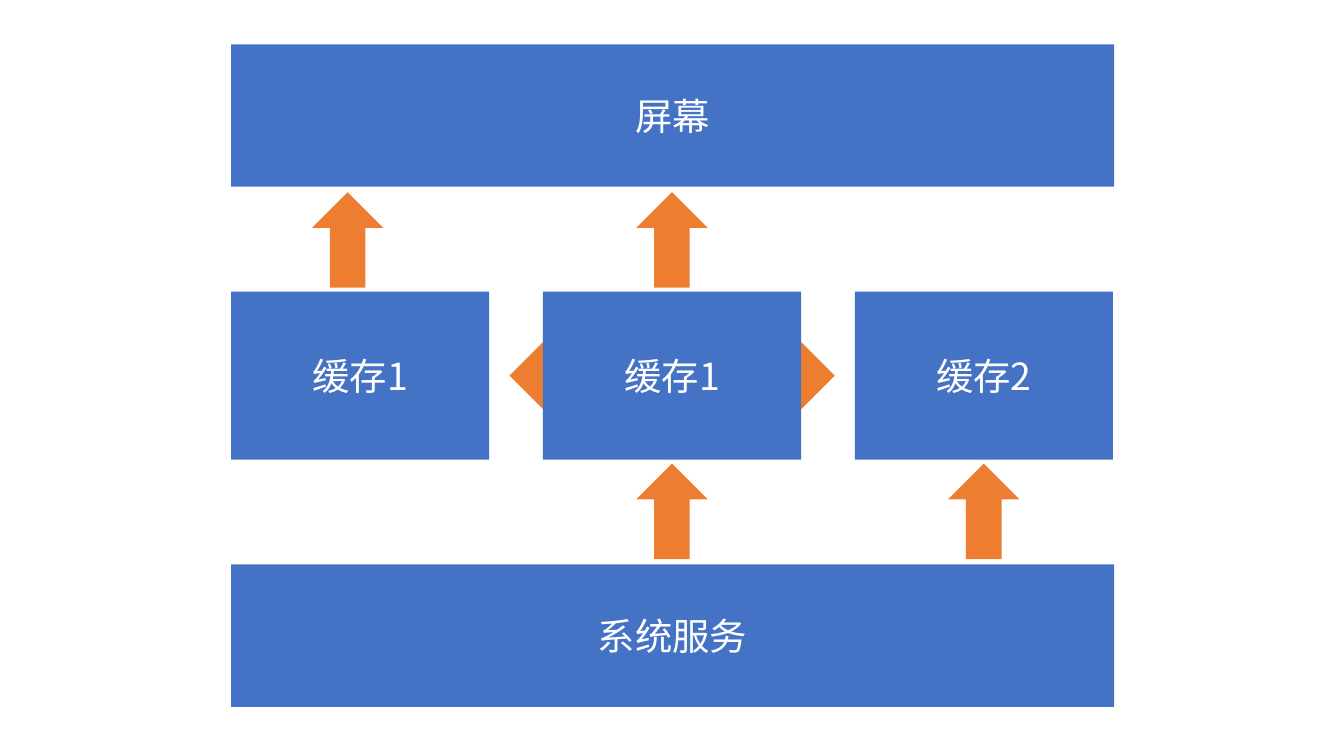
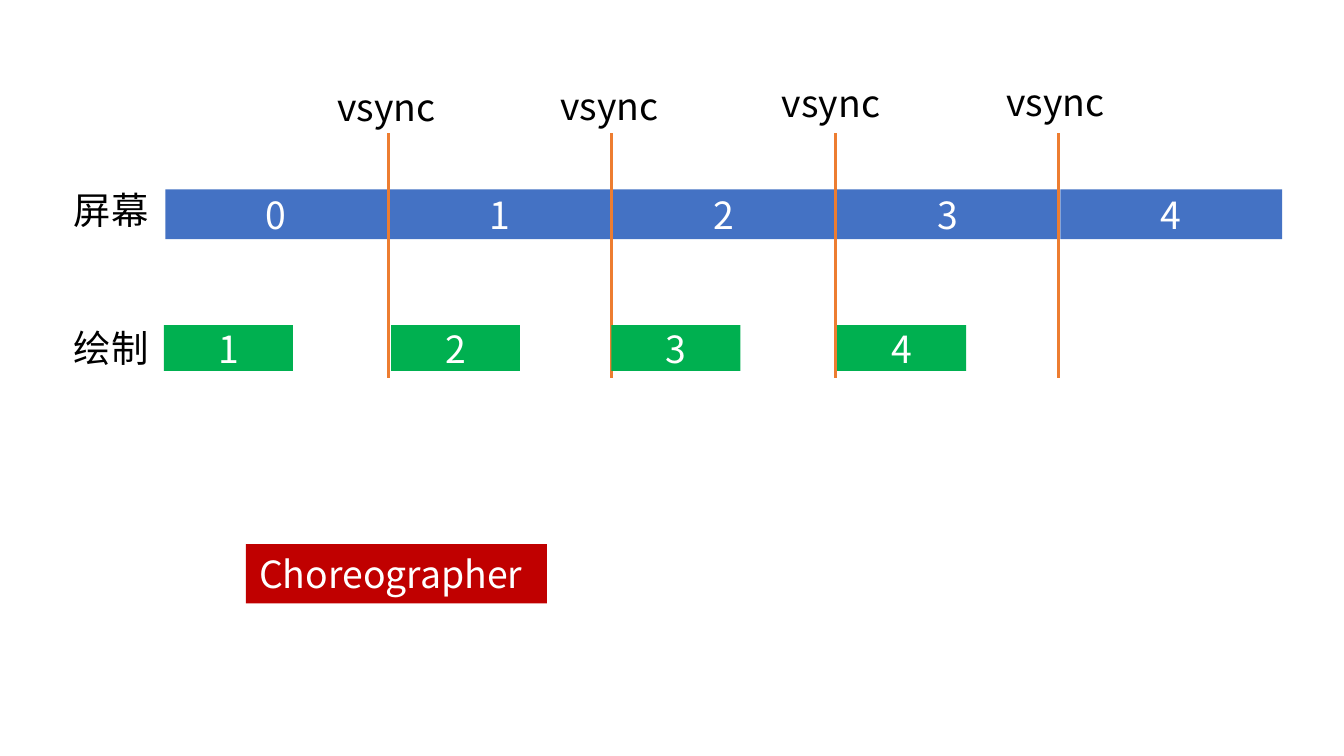
from lxml.etree import SubElement
from pptx import Presentation
from pptx.dml.color import RGBColor
from pptx.enum.shapes import MSO_CONNECTOR, MSO_SHAPE
from pptx.enum.text import MSO_ANCHOR, MSO_AUTO_SIZE, PP_ALIGN
from pptx.oxml.ns import qn
from pptx.util import Inches, Pt

BLUE = RGBColor(0x44, 0x72, 0xC4)
ORANGE = RGBColor(0xED, 0x7D, 0x31)
GREEN = RGBColor(0x00, 0xB0, 0x50)
RED = RGBColor(0xC0, 0x00, 0x00)
WHITE = RGBColor(0xFF, 0xFF, 0xFF)
BLACK = RGBColor(0x00, 0x00, 0x00)
FONT = "Noto Sans CJK SC"


def write(frame, text, color, align):
    """Fill a text frame with one line in the shared style."""
    frame.text = text
    paragraph = frame.paragraphs[0]
    paragraph.alignment = align
    run = paragraph.runs[0]
    run.font.size = Pt(20)
    run.font.name = FONT
    run.font.color.rgb = color
    SubElement(run.font._element, qn("a:ea")).set("typeface", FONT)


def add_block(shapes, left, top, width, height, fill, text="", preset=MSO_SHAPE.RECTANGLE):
    """Add a flat shape, with a centred white caption when text is given."""
    block = shapes.add_shape(preset, Inches(left), Inches(top), Inches(width), Inches(height))
    block.shadow.inherit = False
    block.fill.solid()
    block.fill.fore_color.rgb = fill
    block.line.fill.background()
    if text:
        block.text_frame.vertical_anchor = MSO_ANCHOR.MIDDLE
        write(block.text_frame, text, WHITE, PP_ALIGN.CENTER)


def add_label(shapes, left, top, width, text, color=BLACK, fill=None):
    """Add a one-line label that fits its text, filled on request."""
    label = shapes.add_textbox(Inches(left), Inches(top), Inches(width), Inches(0.44))
    if fill is not None:
        label.fill.solid()
        label.fill.fore_color.rgb = fill
    write(label.text_frame, text, color, PP_ALIGN.LEFT)
    label.text_frame.word_wrap = False
    label.text_frame.auto_size = MSO_AUTO_SIZE.SHAPE_TO_FIT_TEXT


def add_marker(shapes, x, top, height):
    """Add a vertical sync line."""
    marker = shapes.add_connector(
        MSO_CONNECTOR.STRAIGHT, Inches(x), Inches(top), Inches(x), Inches(top + height))
    marker.line.color.rgb = ORANGE
    marker.line.width = Pt(1.5)
    SubElement(marker._element.spPr, qn("a:effectLst"))


def add_buffer_diagram(slide, left, top, width, height):
    """Draw the screen, its caches and the system service, joined by arrows."""
    band_height, cache_width, cache_height = 1.06, 1.92, 1.25
    arrow_width, arrow_height = 0.53, 0.71
    cache_top, pitch = top + 1.84, 2.32
    upper_arrow, lower_arrow = top + 1.1, top + 3.12

    def add_cache(shapes, column, text):
        """Add the cache of one column."""
        add_block(shapes, left + column * pitch, cache_top, cache_width, cache_height, BLUE, text)

    def add_up_arrow(shapes, column, arrow_top):
        """Add an up arrow centred on one column."""
        center = left + column * pitch + cache_width / 2
        add_block(shapes, center - arrow_width / 2, arrow_top, arrow_width, arrow_height,
                  ORANGE, preset=MSO_SHAPE.UP_ARROW)

    add_block(slide.shapes, left, top, width, band_height, BLUE, "屏幕")
    add_block(slide.shapes, left, top + height - band_height, width, band_height, BLUE, "系统服务")

    double_buffer = slide.shapes.add_group_shape().shapes
    add_cache(double_buffer, 0, "缓存1")
    add_cache(double_buffer, 2, "缓存2")
    screen_arrow_column = -0.04
    add_up_arrow(double_buffer, screen_arrow_column, upper_arrow)
    add_up_arrow(double_buffer, 2, lower_arrow)
    swap_width, swap_height = 2.42, 0.64
    add_block(double_buffer, left + pitch + (cache_width - swap_width) / 2,
              cache_top + (cache_height - swap_height) / 2, swap_width, swap_height,
              ORANGE, preset=MSO_SHAPE.LEFT_RIGHT_ARROW)

    single_buffer = slide.shapes.add_group_shape().shapes
    add_cache(single_buffer, 1, "缓存1")
    add_up_arrow(single_buffer, 1, lower_arrow)
    add_up_arrow(single_buffer, 1, upper_arrow)


def add_timeline(slide, left, top):
    """Draw the screen and drawing rows with a sync line at each frame."""
    shapes = slide.shapes
    row_left, pitch = left + 0.78, 1.665
    for frame in range(5):
        add_block(shapes, row_left + frame * pitch, top + 0.87, 1.65, 0.37, BLUE, str(frame))
    for row, row_top in (("屏幕", 0.8), ("绘制", 1.83)):
        add_label(shapes, left, top + row_top, 0.76, row)

    label_offsets = ((1.96, 0.04), (3.62, 0.03), (5.27, 0.01), (6.94, 0))
    for sync, (label_left, label_top) in enumerate(label_offsets):
        add_marker(shapes, left + 2.44 + sync * 1.663, top + 0.45, 1.82)
        add_label(shapes, left + label_left, top + label_top, 0.94, "vsync")
    for frame, draw_left in enumerate((0.77, 2.46, 4.1, 5.78), start=1):
        add_block(shapes, left + draw_left, top + 1.88, 0.96, 0.34, GREEN, str(frame))


def main():
    """Build both slides and save them."""
    deck = Presentation()
    deck.slide_width = Inches(10)
    deck.slide_height = deck.slide_width * 9 // 16
    blank = deck.slide_layouts[6]
    add_buffer_diagram(deck.slides.add_slide(blank), 1.72, 0.33, 6.57, 4.93)
    sync_slide = deck.slides.add_slide(blank)
    add_timeline(sync_slide, 0.45, 0.54)
    add_label(sync_slide.shapes, 1.83, 4.05, 2.24, "Choreographer", WHITE, RED)
    deck.save("out.pptx")


main()
